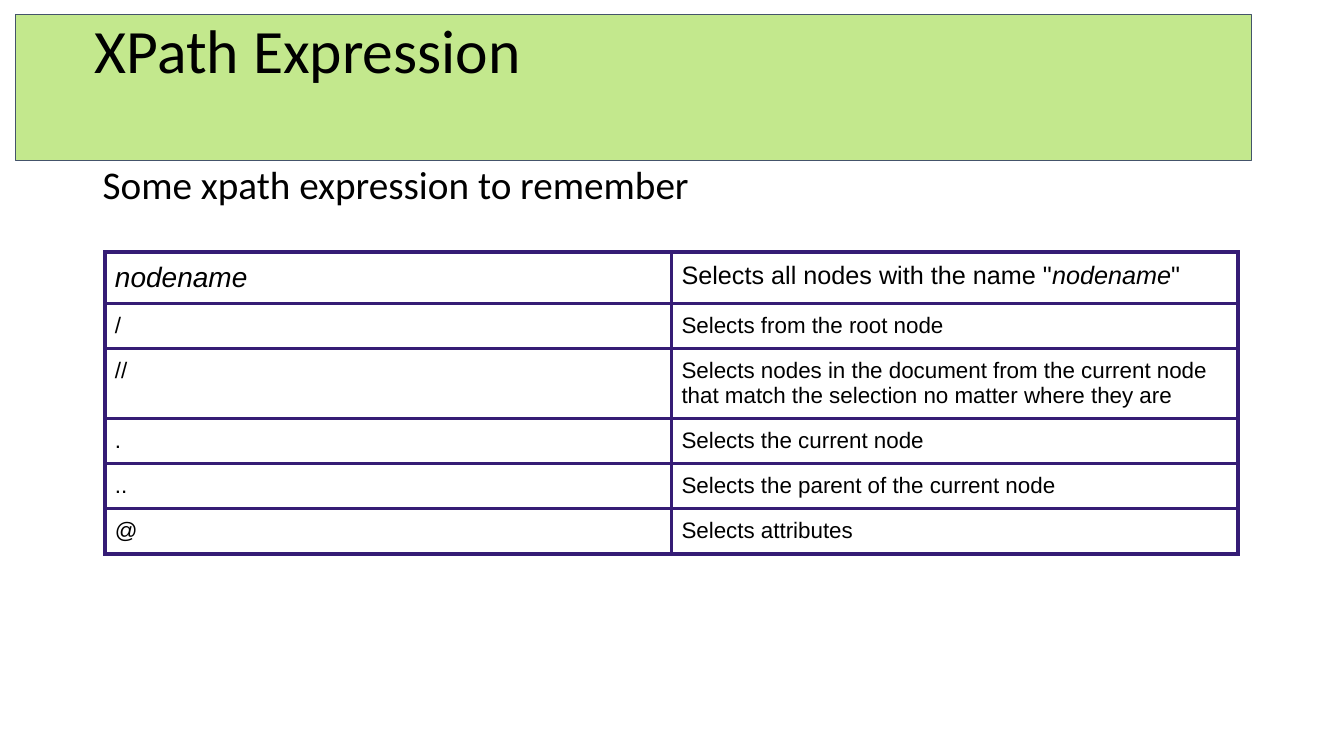
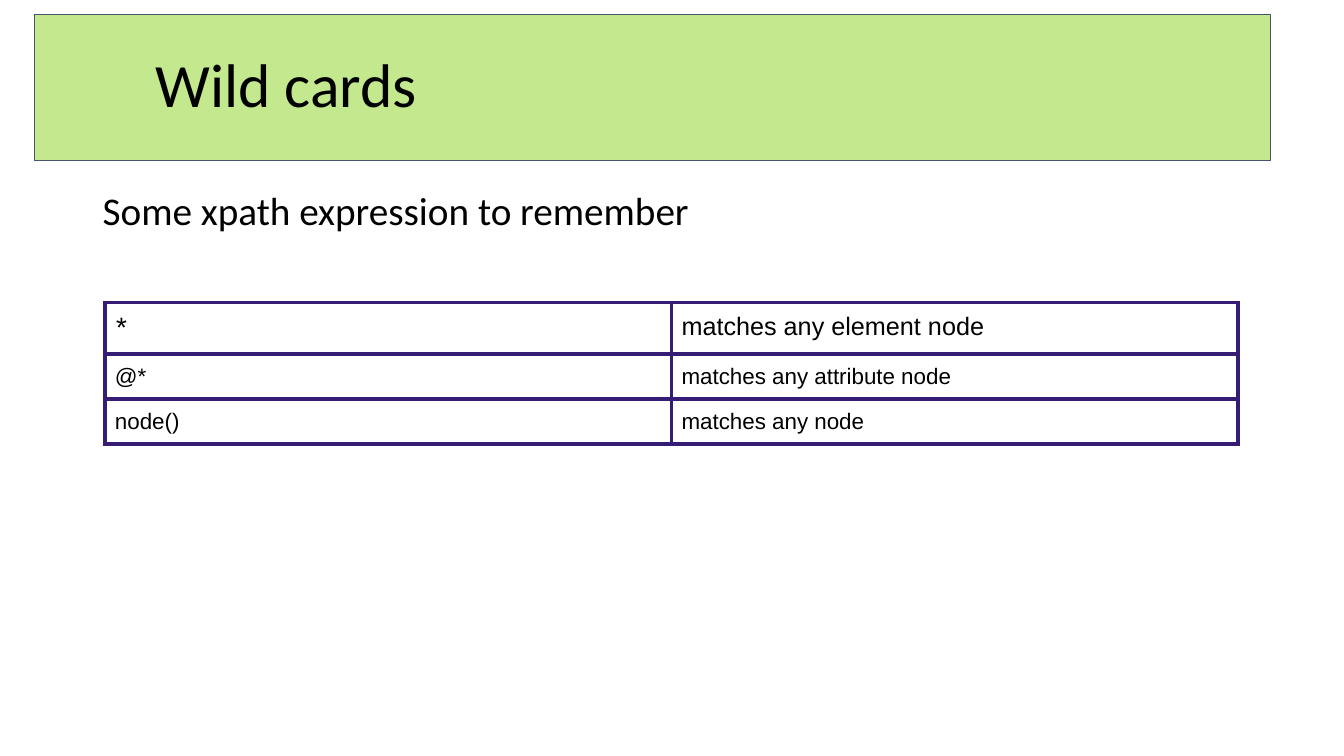
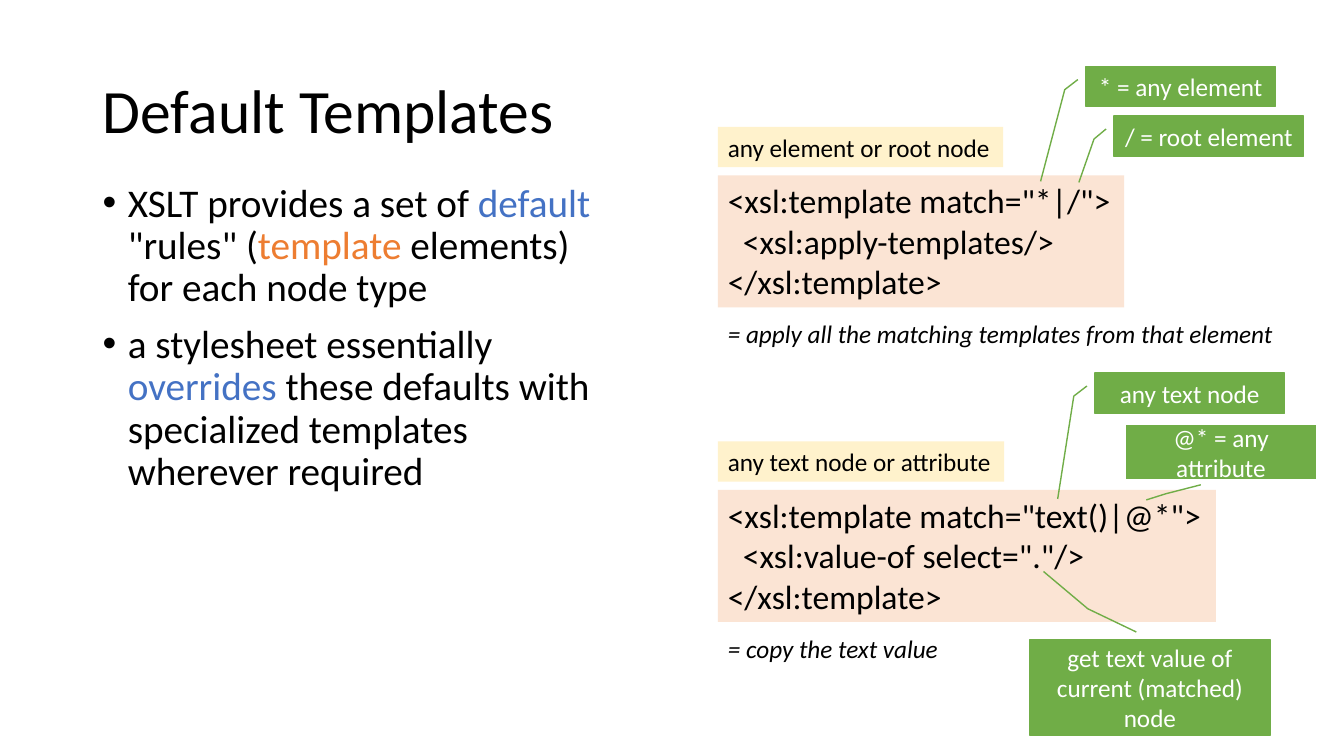
from lxml import etree
from pptx import Presentation, util as u
from pptx.dml.color import RGBColor
from pptx.enum import shapes, text
from pptx.oxml.ns import qn

BLACK, WHITE, BLUE, ORANGE = "000000", "FFFFFF", "4472C4", "ED7D31"
BAND, BAND_LINE, GRID = "C3E88D", "44546A", "351C75"
CODE_FILL, LABEL_FILL, CALLOUT = "FBE4D4", "FFF2CC", "70AD47"
MARGIN = 0.92
INSETS = (0.1, 0.05, 0.1, 0.05)

HEADLINE = "Some xpath expression to remember"
ITALIC = {"italic": True}

# Tables: a cell is a string or a list of (text, format) runs
TABLE_SLIDES = [
    {
        "title": "XPath Expression", "band_left": 0.15, "anchor": "TOP",
        "insets": (0.79, 0.06, 0.1, 0.1), "headline_top": 1.59, "table_top": 2.5,
        "rows": [
            ("nodename", [('Selects all nodes with the name "', {}),
                          ("nodename", ITALIC), ('"', {})]),
            ("/", "Selects from the root node"),
            ("//", "Selects nodes in the document from the current node that match "
                   "the selection no matter where they are"),
            (".", "Selects the current node"),
            ("..", "Selects the parent of the current node"),
            ("@", "Selects attributes"),
        ],
    },
    {
        "title": "Wild cards", "band_left": 0.34, "anchor": "MIDDLE",
        "insets": (1.2, 0.1, 0.1, 0.1), "headline_top": 1.85, "table_top": 3,
        "rows": [
            ("*", "matches any element node"),
            ("@*", "matches any attribute node"),
            ("node()", "matches any node"),
        ],
    },
]

BULLETS = [
    [("XSLT provides a set of ", {}), ("default", {"color": BLUE}), (' "rules" (', {}),
     ("template", {"color": ORANGE}), (" elements) for each node type", {})],
    [("a stylesheet essentially ", {}), ("overrides", {"color": BLUE}),
     (" these defaults with specialized templates wherever required", {})],
]

# top, (label, width), (code lines, width), (note, width)
TEMPLATES = [
    (1.26, ("any element or root node", 2.83),
     (['<xsl:template match="*|/">', "<xsl:apply-templates/>", "</xsl:template>"], 4.03),
     ("= apply all the matching templates from that element", 5.62)),
    (4.38, ("any text node or attribute", 2.84),
     (['<xsl:template match="text()|@*">', '<xsl:value-of select="."/>',
       "</xsl:template>"], 4.94),
     ("= copy the text value", 2.31)),
]

# text, box, points of the leader line
CALLOUTS = [
    ("* = any element", (10.77, 0.66, 1.88, 0.4),
     [(10.69, 0.79), (10.56, 0.89), (10.32, 1.8)]),
    ("/ = root element", (11.05, 1.15, 1.88, 0.4),
     [(10.97, 1.28), (10.85, 1.38), (10.7, 1.81)]),
    ("any text node", (10.86, 3.7, 1.88, 0.4),
     [(10.78, 3.83), (10.65, 3.93), (10.49, 4.95)]),
    ("@* = any attribute", (11.17, 4.22, 1.88, 0.53),
     [(11.91, 4.81), (11.56, 4.9), (11.37, 4.96)]),
    ("get text value of current (matched) node", (10.21, 6.35, 2.39, 0.94),
     [(11.27, 6.27), (10.79, 6.04), (10.35, 5.67)]),
]


def rgb(value):
    return RGBColor.from_string(value)


def inches(values):
    return [u.Inches(v) for v in values]


def paint(shape, fill, line=None, width=0.75):
    shape.fill.solid()
    shape.fill.fore_color.rgb = rgb(fill)
    if line:
        shape.line.color.rgb = rgb(line)
        shape.line.width = u.Pt(width)
    else:
        shape.line.fill.background()


def write(tf, paragraphs, size, font="Calibri", color=BLACK, italic=False, **para):
    """Fill a text frame; para holds attributes set on every paragraph."""
    for i, runs in enumerate(paragraphs):
        p = tf.paragraphs[0] if i == 0 else tf.add_paragraph()
        for name, value in {"alignment": text.PP_ALIGN.LEFT, **para}.items():
            setattr(p, name, value)
        for words, fmt in [(runs, {})] if isinstance(runs, str) else runs:
            r = p.add_run()
            r.text = words
            look = {"name": font, "size": u.Pt(size), "italic": italic, **fmt}
            r.font.color.rgb = rgb(look.pop("color", color))
            for name, value in look.items():
                setattr(r.font, name, value)


def set_frame(tf, insets=INSETS, anchor="TOP", wrap=True):
    tf.word_wrap = wrap
    tf.auto_size = text.MSO_AUTO_SIZE.NONE
    tf.vertical_anchor = text.MSO_ANCHOR[anchor]
    for side, value in zip(("left", "top", "right", "bottom"), inches(insets)):
        setattr(tf, "margin_" + side, value)


def indent(p, left, first=0):
    pPr = p._p.get_or_add_pPr()
    pPr.set("marL", str(u.Inches(left)))
    pPr.set("indent", str(u.Inches(first)))
    return pPr


def add_slide(prs, title, box, insets=INSETS, anchor="MIDDLE"):
    s = prs.slides.add_slide(prs.slide_layouts[5])
    sp = s.shapes.title
    sp.left, sp.top, sp.width, sp.height = inches(box)
    set_frame(sp.text_frame, insets, anchor)
    write(sp.text_frame, [title], 44, line_spacing=0.9)
    return s


def add_text(s, box, paragraphs, size, fill=None, wrap=True, **fmt):
    sp = s.shapes.add_textbox(*inches(box))
    if fill:
        paint(sp, fill)
    set_frame(sp.text_frame, wrap=wrap)
    write(sp.text_frame, paragraphs, size, **fmt)
    return sp.text_frame


def border(cell):
    tcPr = cell._tc.get_or_add_tcPr()
    for side in ("lnL", "lnR", "lnT", "lnB"):
        ln = etree.SubElement(tcPr, qn("a:" + side), w=str(u.Pt(3)))
        solid = etree.SubElement(ln, qn("a:solidFill"))
        etree.SubElement(solid, qn("a:srgbClr"), val=GRID)


def add_grid(s, top, rows):
    row_h, col_w = 0.42, 5.62
    table = s.shapes.add_table(len(rows), 2, *inches(
        (1.04, top, 2 * col_w, row_h * len(rows)))).table
    table.first_row = table.horz_banding = False
    for i, row in enumerate(rows):
        table.rows[i].height = u.Inches(row_h)
        for j, content in enumerate(row):
            cell = table.cell(i, j)
            border(cell)
            cell.fill.background()
            cell.margin_left = cell.margin_right = u.Inches(0.1)
            cell.margin_top = cell.margin_bottom = u.Inches(0.1)
            size = (20, 18)[j] if i == 0 else 16
            write(cell.text_frame, [content], size, "Arial", italic=(i, j) == (0, 0))


def add_bullets(s, box):
    tf = add_text(s, box, BULLETS, 28, line_spacing=0.9)
    for i, p in enumerate(tf.paragraphs):
        p.space_before = u.Pt(10 if i else 0)
        pPr = indent(p, 0.25, -0.25)
        etree.SubElement(pPr, qn("a:buFont"), typeface="Arial")
        etree.SubElement(pPr, qn("a:buChar"), char="•")


def add_callout(s, words, box, points):
    x, y, w, h = box
    sp = s.shapes.add_shape(shapes.MSO_SHAPE.LINE_CALLOUT_2, *inches(box))
    sp.shadow.inherit = False
    paint(sp, CALLOUT, CALLOUT, 1)
    shares = [v for px, py in points for v in ((py - y) / h, (px - x) / w)]
    for i, share in enumerate(shares):
        sp.adjustments[i] = share
    set_frame(sp.text_frame, anchor="MIDDLE")
    write(sp.text_frame, [words], 18, color=WHITE, alignment=text.PP_ALIGN.CENTER)


def main():
    prs = Presentation()
    prs.slide_width, prs.slide_height = inches((13.33, 7.5))

    for d in TABLE_SLIDES:
        s = add_slide(prs, d["title"], (d["band_left"], 0.14, 12.26, 1.45),
                      d["insets"], d["anchor"])
        paint(s.shapes.title, BAND, BAND_LINE)
        add_text(s, (MARGIN, d["headline_top"], 11.5, 0.6), [HEADLINE], 28,
                 line_spacing=0.9)
        add_grid(s, d["table_top"], d["rows"])

    s = add_slide(prs, "Default Templates", (MARGIN, 0.4, 5.3, 1.45))
    add_bullets(s, (MARGIN, 1.77, 5.07, 4.99))
    left = 7.12
    for top, (label, label_w), (code, code_w), (note, note_w) in TEMPLATES:
        add_text(s, (left, top, label_w, 0.4), [label], 18, LABEL_FILL, wrap=False)
        tf = add_text(s, (left, top + 0.48, code_w, 1.31), code, 24, CODE_FILL, wrap=False)
        indent(tf.paragraphs[1], 0.15)
        add_text(s, (left, top + 1.85, note_w, 0.4), [note], 18, wrap=False, italic=True)
    for callout in CALLOUTS:
        add_callout(s, *callout)

    prs.save("out.pptx")


if __name__ == "__main__":
    main()
